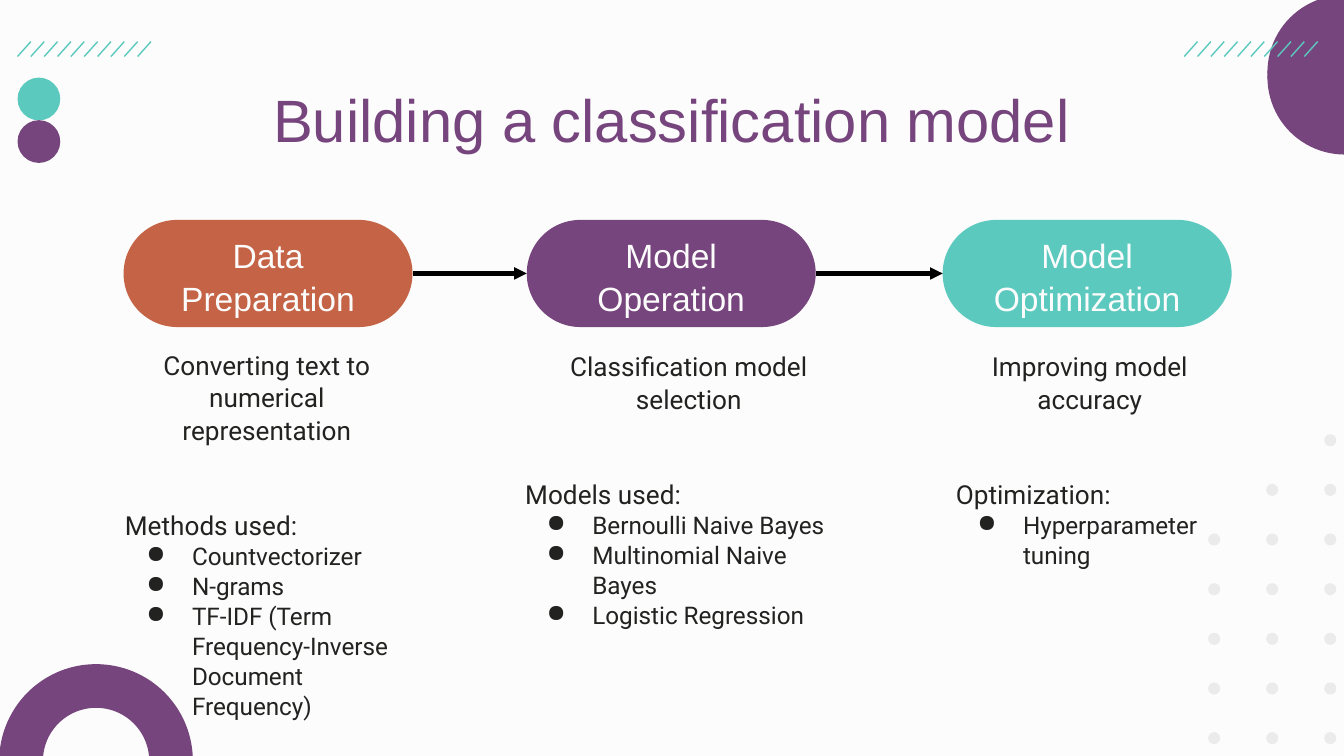
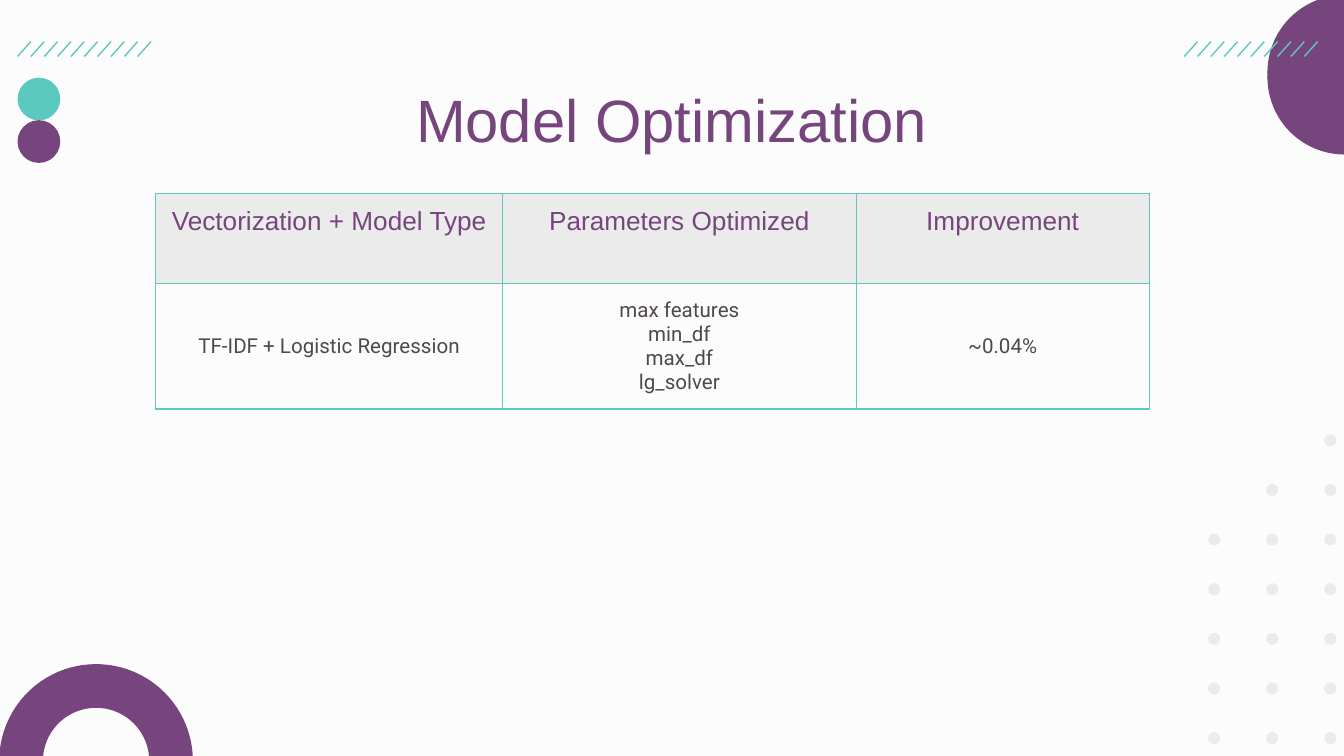
from lxml.etree import SubElement
from pptx import Presentation
from pptx.dml.color import RGBColor
from pptx.enum.shapes import MSO_CONNECTOR, MSO_SHAPE
from pptx.enum.text import MSO_ANCHOR, PP_ALIGN
from pptx.oxml.ns import qn
from pptx.util import Pt

PURPLE = "77457D"
TEAL = "5CC9BF"
ORANGE = "C46345"
PALE = "FCFCFC"
GREY = "EBEBEB"
BLACK = "000000"
INK = "222221"
CELL_INK = "504949"
HEAD_FONT = "Arial"
BODY_FONT = "Roboto"
INSET = 7.2
HEAD_SPACING = 1.05
BODY_SPACING = 1.03

STEPS = [
    {
        "title": "Data Preparation",
        "color": ORANGE,
        "left": 66.2,
        "notes_box": (59.8, 162.7, 166.3, 98),
        "summary": "Converting text to numerical representation",
        "label": "Methods used:",
        "items": ["Countvectorizer", "N-grams",
                  "TF-IDF (Term Frequency-Inverse Document Frequency)"],
    },
    {
        "title": "Model Operation",
        "color": PURPLE,
        "left": 282.2,
        "notes_box": (274.3, 163.4, 189.4, 98),
        "summary": "Classification model selection",
        "label": "Models used:",
        "items": ["Bernoulli Naive Bayes", "Multinomial Naive Bayes",
                  "Logistic Regression"],
    },
    {
        "title": "Model Optimization",
        "color": TEAL,
        "left": 505,
        "notes_box": (505, 163.4, 157.7, 98),
        "summary": "Improving model accuracy",
        "label": "Optimization:",
        "items": ["Hyperparameter tuning"],
    },
]

RESULTS = [
    ["Vectorization + Model Type", "Parameters Optimized", "Improvement"],
    ["TF-IDF + Logistic Regression",
     "max features\nmin_df\nmax_df\nlg_solver", "~0.04%"],
]


def rgb(color):
    return RGBColor.from_string(color)


def add_shape(slide, kind, box, color, adjustments=()):
    sp = slide.shapes.add_shape(kind, *map(Pt, box))
    sp.shadow.inherit = False
    sp.fill.solid()
    sp.fill.fore_color.rgb = rgb(color)
    sp.line.fill.background()
    for i, value in enumerate(adjustments):
        sp.adjustments[i] = value
    return sp


def add_line(slide, start, end, color, width):
    cxn = slide.shapes.add_connector(
        MSO_CONNECTOR.STRAIGHT, *map(Pt, (*start, *end)))
    cxn.line.color.rgb = rgb(color)
    cxn.line.width = Pt(width)
    SubElement(cxn._element.spPr, qn("a:effectLst"))
    return cxn


def add_textbox(slide, box):
    tf = slide.shapes.add_textbox(*map(Pt, box)).text_frame
    tf.word_wrap = True
    tf.margin_left = tf.margin_right = Pt(INSET)
    tf.margin_top = tf.margin_bottom = Pt(INSET)
    return tf


def style(p, font, size, color, align=PP_ALIGN.CENTER, spacing=None):
    p.alignment = align
    if spacing:
        p.line_spacing = spacing
    for r in p.runs:
        r.font.name = font
        r.font.size = Pt(size)
        r.font.color.rgb = rgb(color)


def add_bullet(p):
    pPr = p._p.get_or_add_pPr()
    pPr.set("marL", str(Pt(36)))
    pPr.set("indent", str(Pt(-24.5)))
    clr = SubElement(pPr, qn("a:buClr"))
    SubElement(clr, qn("a:srgbClr"), val=INK)
    SubElement(pPr, qn("a:buChar"), char="●")


def add_heading(slide, box, text, size, color):
    tf = add_textbox(slide, box)
    tf.text = text
    style(tf.paragraphs[0], HEAD_FONT, size, color, spacing=HEAD_SPACING)


def add_hatch(slide, left, top):
    step, height = 7.15, 8
    for i in range(10):
        x = left + i * step
        add_line(slide, (x, top + height), (x + step, top), TEAL, 0.75)


def add_dots(slide, left, top):
    for row in range(7):
        for col in range(max(0, 2 - row), 3):
            box = (left + col * 31.1, top + row * 26.6, 6.5, 6.5)
            add_shape(slide, MSO_SHAPE.OVAL, box, GREY)


def add_decoration(slide):
    add_hatch(slide, 9.4, 22.3)
    add_shape(slide, MSO_SHAPE.OVAL, (9.4, 41.6, 22.9, 22.9), TEAL)
    for top in (0, -2.7):
        add_shape(slide, MSO_SHAPE.PIE, (679, top, 82.8, 82.8), PURPLE,
                  (54, 162.9))
    add_hatch(slide, 634.4, 22.3)
    add_shape(slide, MSO_SHAPE.OVAL, (9.4, 64.4, 22.9, 22.9), PURPLE)
    add_dots(slide, 647.2, 232.6)
    arc = add_shape(slide, MSO_SHAPE.BLOCK_ARC, (0, 356.2, 103, 103), PURPLE,
                    (106.95, 0.13, 0.22))
    arc.line.color.rgb = rgb(PURPLE)
    arc.line.width = Pt(0.75)


def add_base_slide(prs, title):
    slide = prs.slides.add_slide(prs.slide_layouts[6])
    slide.background.fill.solid()
    slide.background.fill.fore_color.rgb = rgb(PALE)
    add_decoration(slide)
    add_heading(slide, (57.6, 35.3, 604.8, 45.4), title, 32, PURPLE)
    return slide


def add_pill(slide, box, text, color):
    left, top, width, height = box
    sp = add_shape(slide, MSO_SHAPE.ROUNDED_RECTANGLE, box, color, (0.5,))
    add_heading(slide, (left + 6.5, top, width - 13, 33), text, 18, PALE)
    return sp


def add_arrow(slide, source, target):
    cxn = add_line(slide, (0, 0), (0, 0), BLACK, 2.25)
    cxn.begin_connect(source, 3)
    cxn.end_connect(target, 1)
    SubElement(cxn.line._get_or_add_ln(), qn("a:tailEnd"), type="triangle")


def add_notes(slide, box, summary, label, items):
    tf = add_textbox(slide, box)
    tf.margin_top = Pt(24)
    tf.text = "\n".join([summary, label, *items])
    first, second, *rest = tf.paragraphs
    style(first, BODY_FONT, 14, INK, spacing=BODY_SPACING)
    style(second, BODY_FONT, 14, INK, PP_ALIGN.LEFT, BODY_SPACING)
    second.space_before = Pt(33.8)
    for p in rest:
        add_bullet(p)
        style(p, BODY_FONT, 13, INK, PP_ALIGN.LEFT, BODY_SPACING)


def build_process_slide(prs):
    slide = add_base_slide(prs, "Building a classification model")
    pills = []
    for step in STEPS:
        pills.append(add_pill(slide, (step["left"], 117.8, 154.8, 57.4),
                              step["title"], step["color"]))
        add_notes(slide, step["notes_box"], step["summary"], step["label"],
                  step["items"])
    for source, target in zip(pills, pills[1:]):
        add_arrow(slide, source, target)


def add_borders(cell):
    tcPr = cell._tc.get_or_add_tcPr()
    for i, side in enumerate(("lnL", "lnR", "lnT", "lnB")):
        ln = tcPr.makeelement(qn(f"a:{side}"), {"w": str(Pt(0.75))})
        fill = SubElement(ln, qn("a:solidFill"))
        SubElement(fill, qn("a:srgbClr"), val=TEAL)
        tcPr.insert(i, ln)


def fill_cell(cell, text, is_header):
    cell.text = text
    cell.margin_left = cell.margin_right = Pt(INSET)
    cell.margin_top = cell.margin_bottom = Pt(INSET)
    cell.vertical_anchor = MSO_ANCHOR.TOP if is_header else MSO_ANCHOR.MIDDLE
    cell.fill.solid()
    cell.fill.fore_color.rgb = rgb(GREY if is_header else PALE)
    add_borders(cell)
    for p in cell.text_frame.paragraphs:
        if is_header:
            style(p, HEAD_FONT, 14, PURPLE)
        else:
            style(p, BODY_FONT, 11, CELL_INK)


def add_results_table(slide, left, top):
    widths, heights = (185.8, 189.4, 157), (48, 54)
    table = slide.shapes.add_table(
        len(heights), len(widths),
        *map(Pt, (left, top, sum(widths), sum(heights)))).table
    table.first_row = table.horz_banding = False
    for column, width in zip(table.columns, widths):
        column.width = Pt(width)
    for i, (row, height) in enumerate(zip(table.rows, heights)):
        row.height = Pt(height)
        for cell, text in zip(row.cells, RESULTS[i]):
            fill_cell(cell, text, i == 0)


def build_results_slide(prs):
    slide = add_base_slide(prs, "Model Optimization")
    add_results_table(slide, 83.5, 103.8)


def main():
    prs = Presentation()
    prs.slide_width, prs.slide_height = Pt(720), Pt(405)
    build_process_slide(prs)
    build_results_slide(prs)
    prs.save("out.pptx")


if __name__ == "__main__":
    main()
